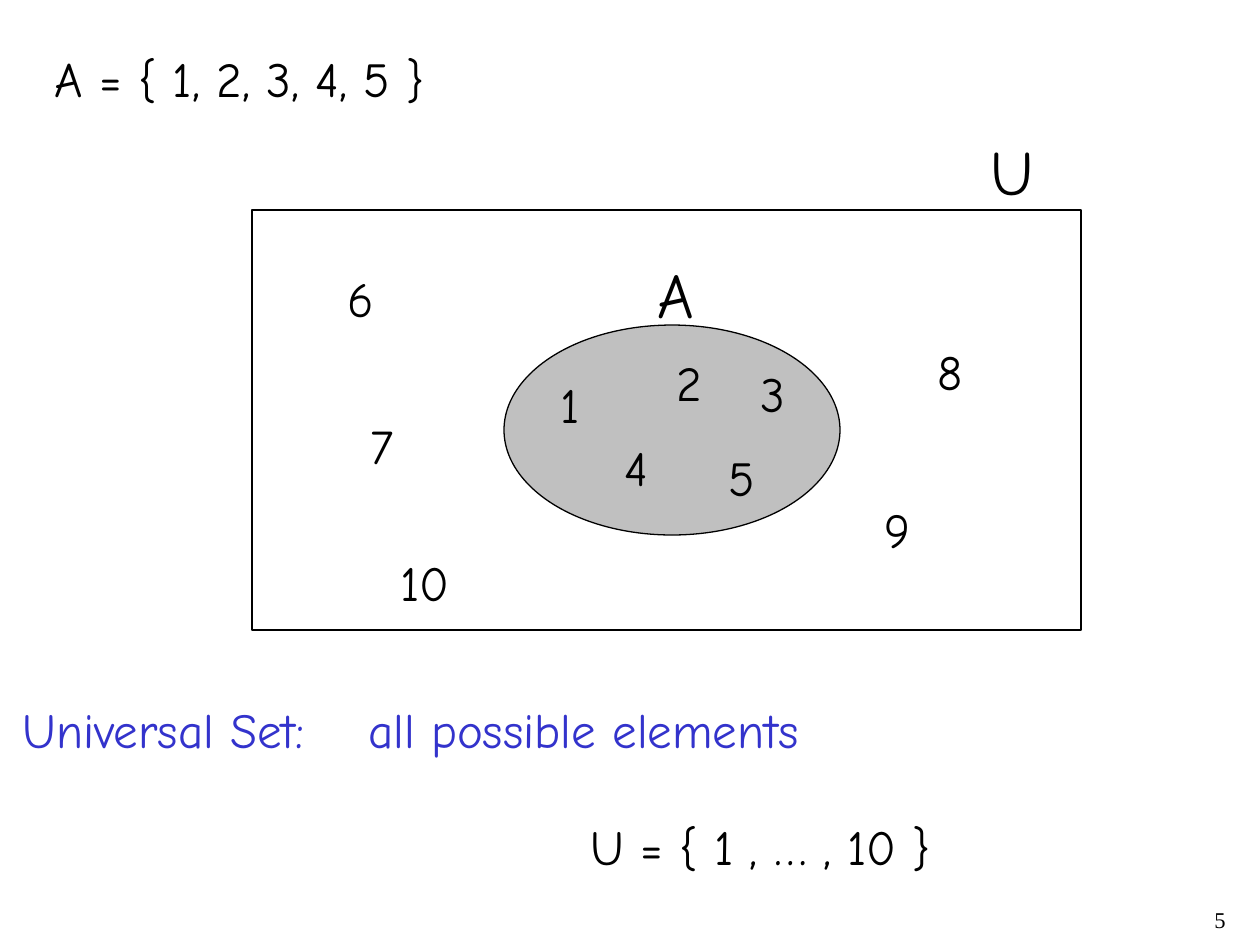
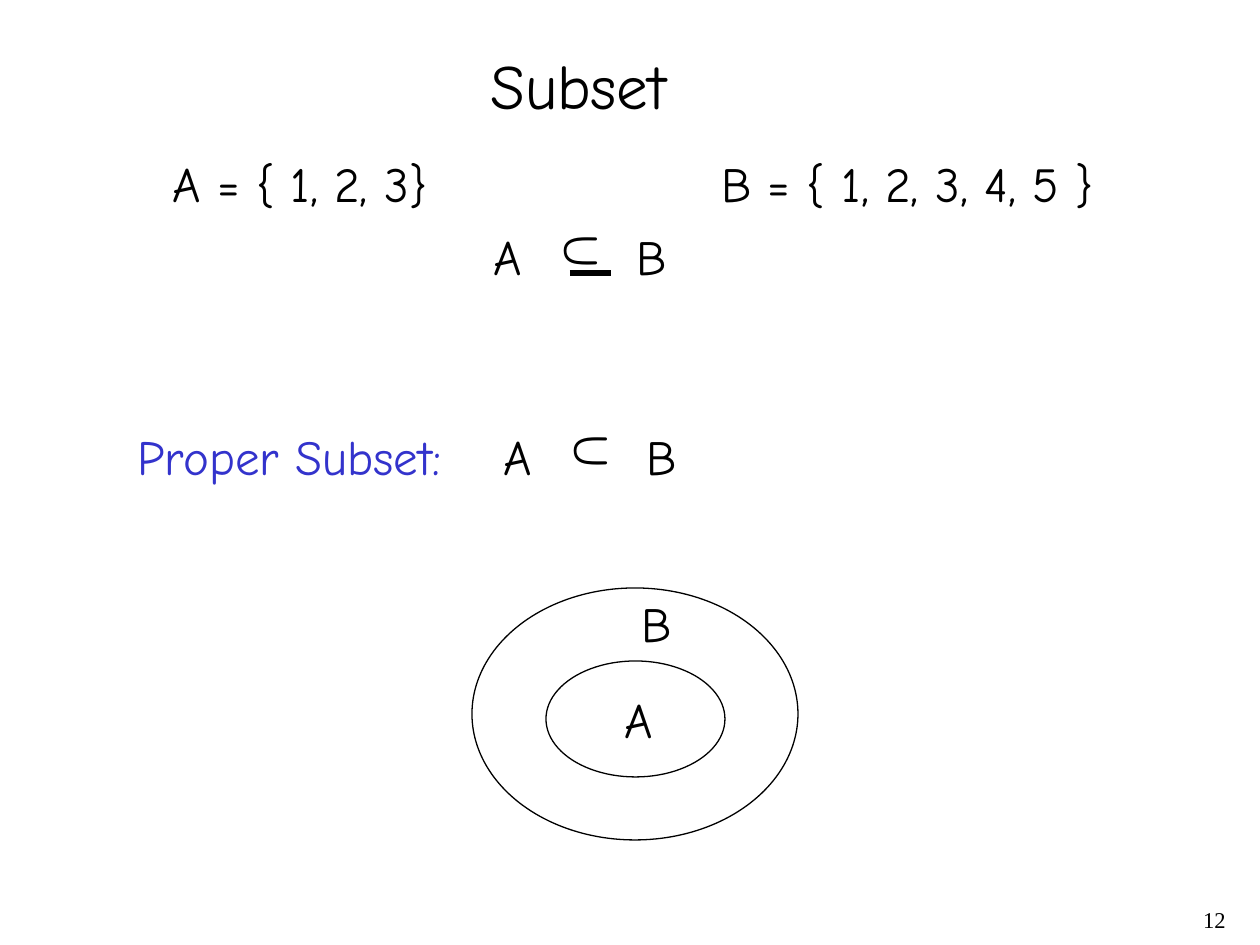
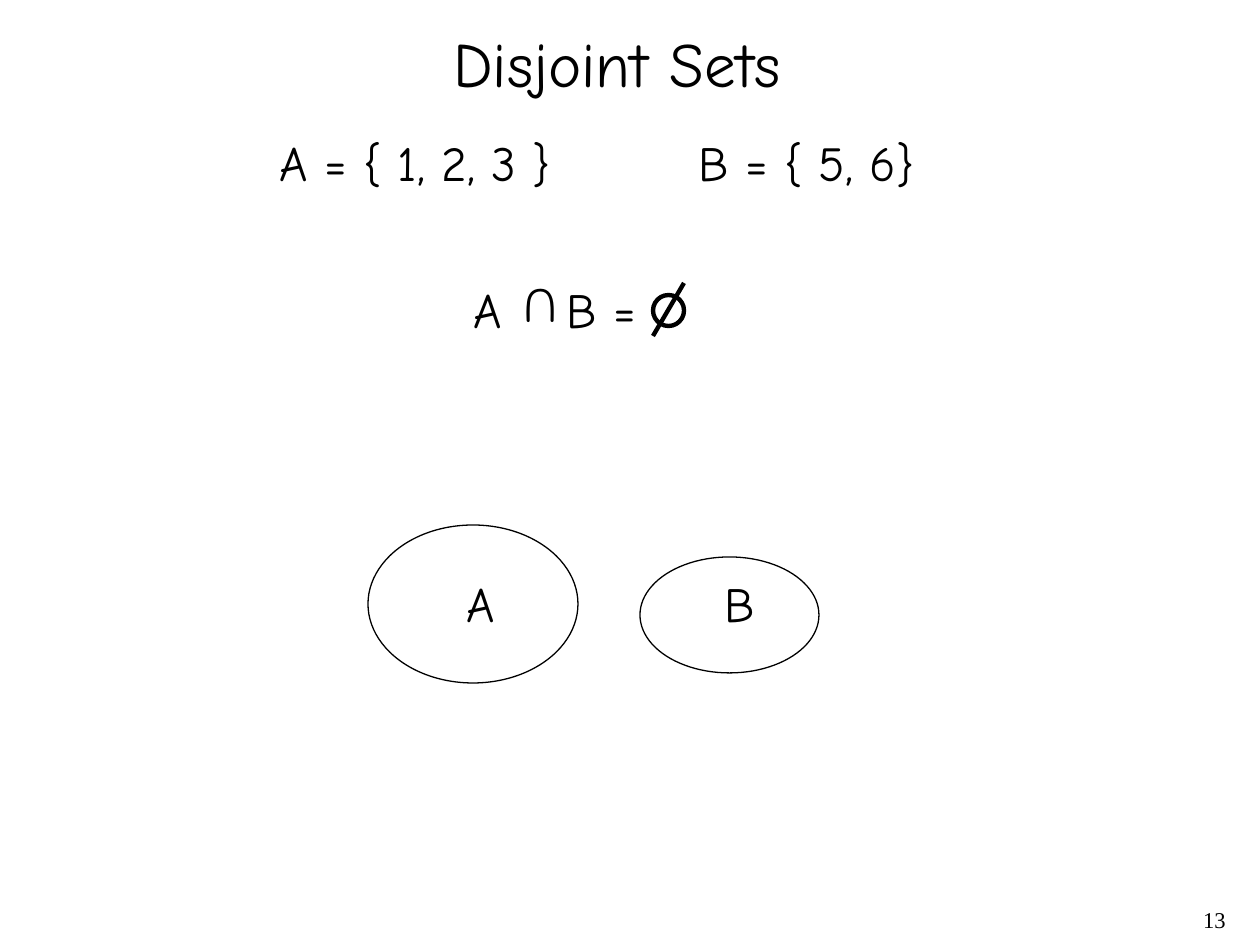
from dataclasses import dataclass

from lxml import etree
from pptx import Presentation
from pptx import util as u
from pptx.dml.color import RGBColor
from pptx.enum import shapes, text
from pptx.oxml import ns


@dataclass(frozen=True)
class Theme:
    ink: RGBColor = RGBColor(0, 0, 0)
    accent: RGBColor = RGBColor(0x33, 0x33, 0xCC)
    shade: RGBColor = RGBColor(0xC0, 0xC0, 0xC0)
    font: str = "Comic Neue"
    number_font: str = "Times New Roman"
    title: float = 36
    body: float = 28
    number: float = 12.9
    line_height: float = 33.5
    thin: float = 0.75
    medium: float = 2.5
    thick: float = 3


T = Theme()
W, H = 1260, 945
BODY_H, TITLE_H = 72, 88


def px(n):
    return u.Emu(round(n * 914400 / 126))


def add_paragraph(p, content, size=T.body, color=T.ink, font=T.font, tab=None, indent=0):
    pPr = p._p.get_or_add_pPr()
    if indent:
        pPr.set("marL", str(px(indent)))
        pPr.set("indent", "0")
    if tab:
        tabs = etree.SubElement(pPr, ns.qn("a:tabLst"))
        etree.SubElement(tabs, ns.qn("a:tab"), pos=str(px(tab)), algn="l")
    r = p.add_run()
    r.text = content
    r.font.size = u.Pt(size)
    r.font.name = font
    r.font.color.rgb = color


def add_text(parent, content, x, y, w, h=BODY_H, wrap=False, rotation=0, **style):
    sp = parent.add_textbox(px(x), px(y), px(w), px(h))
    sp.rotation = rotation
    tf = sp.text_frame
    tf.word_wrap = wrap
    tf.auto_size = text.MSO_AUTO_SIZE.SHAPE_TO_FIT_TEXT
    add_paragraph(tf.paragraphs[0], content, **style)
    return tf


def add_outline(parent, kind, x, y, w, h, fill=None, width=T.thin):
    sp = parent.add_shape(kind, px(x), px(y), px(w), px(h))
    sp.shadow.inherit = False
    if fill is None:
        sp.fill.background()
    else:
        sp.fill.solid()
        sp.fill.fore_color.rgb = fill
    sp.line.color.rgb = T.ink
    sp.line.width = u.Pt(width)


def add_ellipse(parent, *box, **style):
    add_outline(parent, shapes.MSO_SHAPE.OVAL, *box, **style)


def add_line(parent, x1, y1, x2, y2, width):
    cxn = parent.add_connector(shapes.MSO_CONNECTOR.STRAIGHT, px(x1), px(y1), px(x2), px(y2))
    cxn.line.color.rgb = T.ink
    cxn.line.width = u.Pt(width)
    etree.SubElement(cxn._element.spPr, ns.qn("a:effectLst"))


def new_slide(prs, number):
    s = prs.slides.add_slide(prs.slide_layouts[6])
    tf = add_text(s.shapes, number, W - 284, H - 42, 262, 42, wrap=True,
                  size=T.number, font=T.number_font)
    tf.auto_size = text.MSO_AUTO_SIZE.NONE
    tf.paragraphs[0].alignment = text.PP_ALIGN.RIGHT
    tf.paragraphs[0].line_spacing = 0.9
    return s.shapes


def add_title(parent, content, x, y, w):
    add_text(parent, content, x, y, w, TITLE_H, size=T.title)


def add_universe(parent, x, y, w, h):
    group = parent.add_group_shape().shapes
    add_ellipse(group, x + 252, y + 115, 336, h / 2, fill=T.shade)
    members = [("1", 296, 158, 44), ("2", 412, 136, 50), ("3", 496, 147, 49),
               ("4", 360, 221, 49), ("5", 464, 231, 52)]
    others = [("6", 83, 52, 52), ("7", 106, 199, 48), ("8", 673, 125, 50),
              ("9", 620, 283, 50), ("10", 136, 336, 74)]
    for label, dx, dy, width in members + others:
        add_text(group, label, x + dx, y + dy, width)
    add_outline(group, shapes.MSO_SHAPE.RECTANGLE, x, y, w, h)
    add_title(group, "A", x + 393, y + 39, 62)
    add_title(group, "U", x + 726, y - TITLE_H + 4, 68)


def add_universal_definition(parent, x, y, w, h):
    tf = add_text(parent, "Universal Set:\tall possible elements", x, y, w, h,
                  wrap=True, color=T.accent, tab=346)
    p = tf.add_paragraph()
    p.space_before = u.Pt(T.line_height)
    add_paragraph(p, "U = { 1 , … , 10 }", indent=568)


def add_subset_relation(parent, x, y, proper):
    group = parent.add_group_shape().shapes
    add_text(group, "A\tB", x, y, 210, wrap=True, tab=143)
    add_text(group, "U", x + 73, y - 4, 59, rotation=90)
    if not proper:
        add_line(group, x + 89, y + 53, x + 130, y + 53, T.thick)


def add_empty_intersection(parent, x, y):
    group = parent.add_group_shape().shapes
    add_text(group, "A\tB =", x, y, 237, wrap=True, tab=93)
    add_text(group, "U", x + 46, y, 63, wrap=True, rotation=180)
    add_ellipse(group, x + 192, y + 22, 31, 31, width=T.medium)
    add_line(group, x + 223, y + 10, x + 192, y + 63, T.medium)


def add_nested_sets(parent, x, y, w, h):
    add_ellipse(parent, x + 74, y + 73, 179, 116)
    add_ellipse(parent, x, y, w, h)
    add_text(parent, "A", x + 140, y + 95, 53)
    add_text(parent, "B", x + 157, y - 1, 55)


def add_separate_sets(parent, x, y):
    add_ellipse(parent, x, y, 210, 158)
    add_ellipse(parent, x + 272, y + 32, 179, 116)
    add_text(parent, "A", x + 86, y + 42, 53)
    add_text(parent, "B", x + 344, y + 42, 55)


def universal_slide(prs):
    s = new_slide(prs, "5")
    add_text(s, "A = { 1, 2, 3, 4, 5 }", 42, 42, 1134, wrap=True)
    add_universal_definition(s, 10, 693, 950, 189)
    add_universe(s, 252, 210, 829, 420)


def subset_slide(prs):
    s = new_slide(prs, "12")
    add_title(s, "Subset", 478, 40, 202)
    add_text(s, "A = { 1, 2, 3}\tB = { 1, 2, 3, 4, 5 }", 160, 147, 960, wrap=True, tab=549)
    add_subset_relation(s, 481, 220, proper=False)
    add_text(s, "Proper Subset:", 125, 420, 330, color=T.accent)
    add_subset_relation(s, 491, 420, proper=True)
    add_nested_sets(s, 472, 588, 326, 252)


def disjoint_slide(prs):
    s = new_slide(prs, "13")
    add_title(s, "Disjoint Sets", 441, 18, 352)
    add_text(s, "A = { 1, 2, 3 }\tB = { 5, 6}", 267, 126, 675, wrap=True, tab=419)
    add_empty_intersection(s, 461, 273)
    add_separate_sets(s, 368, 525)


prs = Presentation()
prs.slide_width, prs.slide_height = px(W), px(H)
for build in (universal_slide, subset_slide, disjoint_slide):
    build(prs)
prs.save("out.pptx")
